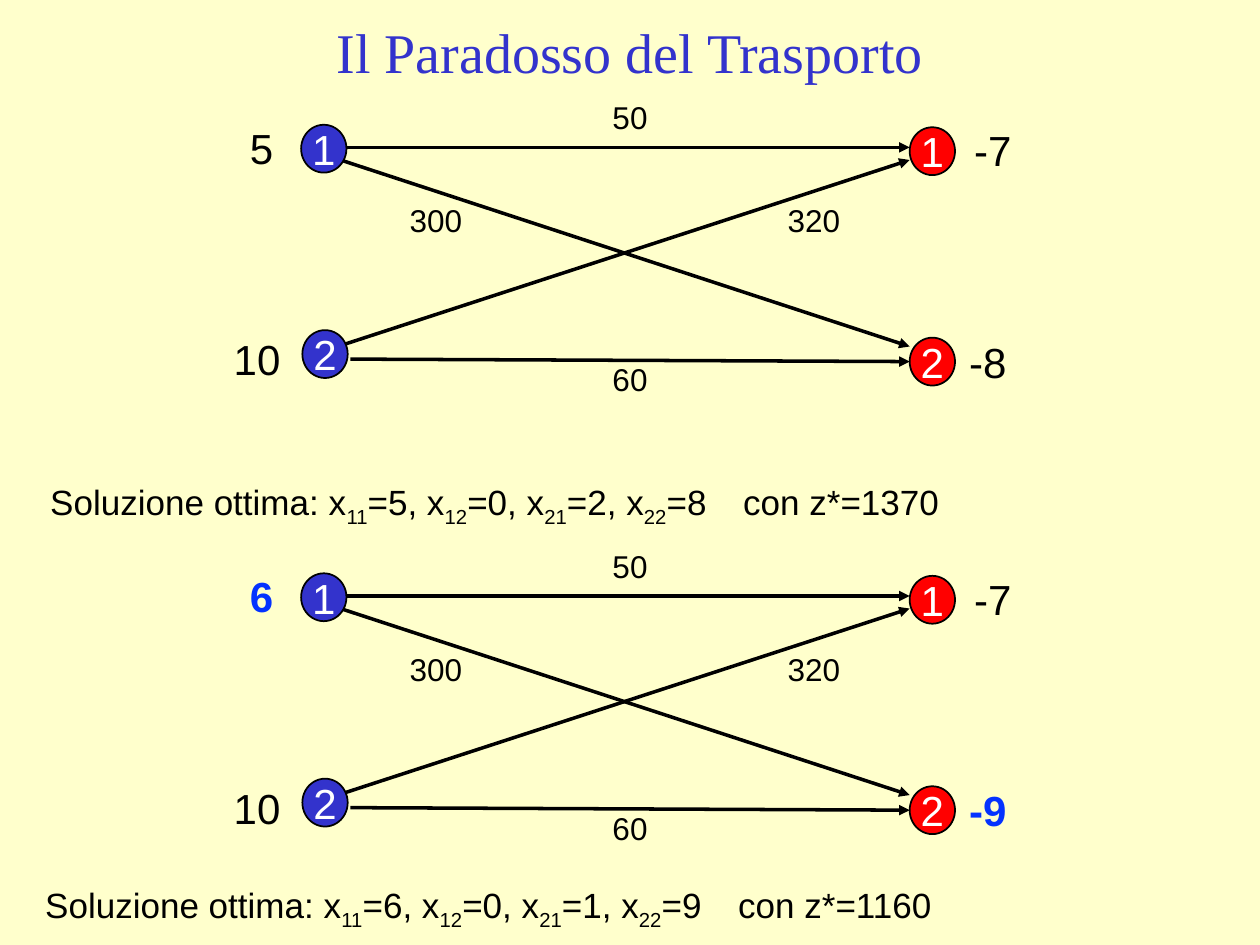
from lxml import etree
from pptx import Presentation
from pptx.dml.color import RGBColor
from pptx.enum import shapes, text
from pptx.oxml import ns
from pptx.util import Inches, Pt

CREAM = RGBColor(0xFF, 0xFF, 0xCC)
BLUE = RGBColor(0x33, 0x33, 0xCC)
RED = RGBColor(0xFF, 0, 0)
BRIGHT = RGBColor(0x04, 0x32, 0xFF)
BLACK = RGBColor(0, 0, 0)
WHITE = RGBColor(0xFF, 0xFF, 0xFF)


def style(font, size, color, name="Arial", bold=False):
    font.name = name
    font.size = Pt(size)
    font.color.rgb = color
    font.bold = bold


def add_run(para, words, size, color, name="Arial", bold=False):
    run = para.add_run()
    run.text = words
    style(run.font, size, color, name, bold)
    return run


def add_title(slide, words):
    title = slide.shapes.title
    title.left, title.top = Inches(0.22), Inches(0.04)
    title.width, title.height = Inches(9.56), Inches(0.52)
    frame = title.text_frame
    frame.auto_size = text.MSO_AUTO_SIZE.NONE
    frame.vertical_anchor = text.MSO_ANCHOR.TOP
    frame.margin_top, frame.margin_bottom = Inches(0.1), Inches(0.04)
    para = frame.paragraphs[0]
    para.alignment = text.PP_ALIGN.CENTER
    add_run(para, words, 32, BLUE, "Times New Roman")


def add_label(slide, words, left, top, width, size, bold=False):
    height = 0.5 if size == 24 else 0.4
    box = slide.shapes.add_textbox(
        Inches(left), Inches(top), Inches(width), Inches(height))
    frame = box.text_frame
    frame.word_wrap = False
    frame.auto_size = text.MSO_AUTO_SIZE.SHAPE_TO_FIT_TEXT
    para = frame.paragraphs[0]
    para.alignment = text.PP_ALIGN.CENTER
    add_run(para, words, size, BRIGHT if bold else BLACK, bold=bold)


def add_node(slide, words, left, top, fill):
    node = slide.shapes.add_shape(
        shapes.MSO_SHAPE.OVAL,
        Inches(left), Inches(top), Inches(0.36), Inches(0.38))
    node.shadow.inherit = False
    node.fill.solid()
    node.fill.fore_color.rgb = fill
    node.line.color.rgb = BLACK
    node.line.width = Pt(1)
    frame = node.text_frame
    frame.word_wrap = False
    frame.vertical_anchor = text.MSO_ANCHOR.MIDDLE
    para = frame.paragraphs[0]
    para.alignment = text.PP_ALIGN.CENTER
    add_run(para, words, 24, WHITE)


def add_arrow(slide, *ends):
    arrow = slide.shapes.add_connector(
        shapes.MSO_CONNECTOR.STRAIGHT, *[Inches(end) for end in ends])
    arrow.line.color.rgb = BLACK
    arrow.line.width = Pt(2)
    etree.SubElement(arrow.line._get_or_add_ln(), ns.qn("a:tailEnd"),
                     type="triangle")
    etree.SubElement(arrow._element.spPr, ns.qn("a:effectLst"))


def add_graph(slide, top, stock, need):
    for x1, y1, x2, y2 in [(2.6, 0.18, 7.22, 0.18), (2.55, 0.23, 7.22, 1.76),
                           (2.62, 1.78, 7.22, 0.28), (2.78, 1.86, 7.22, 1.88)]:
        add_arrow(slide, x1, top + y1, x2, top + y2)
    for words, left, down, fill in [
            ("1", 2.39, 0, BLUE), ("2", 2.4, 1.63, BLUE),
            ("1", 7.22, 0.02, RED), ("2", 7.22, 1.69, RED)]:
        add_node(slide, words, left, top + down, fill)
    for words, left, down, width in [
            ("50", 4.76, -0.26, 0.48), ("60", 4.76, 1.82, 0.48),
            ("300", 3.15, 0.56, 0.62), ("320", 6.15, 0.56, 0.62)]:
        add_label(slide, words, left, top + down, width, 18)
    add_label(slide, stock, 1.88, top - 0.07, 0.39, 24, stock == "6")
    add_label(slide, "10", 1.75, top + 1.61, 0.58, 24)
    add_label(slide, "-7", 7.63, top - 0.05, 0.5, 24)
    add_label(slide, need, 7.59, top + 1.63, 0.5, 24, need == "-9")


def add_answer(slide, left, top, flows, cost):
    box = slide.shapes.add_textbox(
        Inches(left), Inches(top), Inches(9.72), Inches(0.47))
    frame = box.text_frame
    frame.word_wrap = True
    frame.auto_size = text.MSO_AUTO_SIZE.SHAPE_TO_FIT_TEXT
    para = frame.paragraphs[0]
    para.alignment = text.PP_ALIGN.JUSTIFY
    para.line_spacing = 1.2
    props = para._p.get_or_add_pPr()
    props.set("marL", str(Inches(0.04)))
    props.set("indent", "0")
    tabs = etree.SubElement(props, ns.qn("a:tabLst"))
    etree.SubElement(tabs, ns.qn("a:tab"), pos=str(Inches(6)), algn="l")
    lead = "Soluzione ottima: x"
    for index, flow in zip(("11", "12", "21", "22"), flows):
        add_run(para, lead, 20, BLACK)
        sub = add_run(para, index, 20, BLACK)
        sub.font._element.set("baseline", "-25000")
        lead = f"={flow}, x"
    add_run(para, f"={flows[-1]}\tcon z*={cost}", 20, BLACK)


def main():
    deck = Presentation()
    deck.slide_width, deck.slide_height = Inches(10), Inches(7.5)
    slide = deck.slides.add_slide(deck.slide_layouts[5])
    slide.background.fill.solid()
    slide.background.fill.fore_color.rgb = CREAM
    add_title(slide, "Il Paradosso del Trasporto")
    add_graph(slide, 0.99, "5", "-8")
    add_answer(slide, 0.26, 3.69, (5, 0, 2, 8), 1370)
    add_graph(slide, 4.55, "6", "-9")
    add_answer(slide, 0.22, 6.89, (6, 0, 1, 9), 1160)
    deck.save("out.pptx")


if __name__ == "__main__":
    main()
